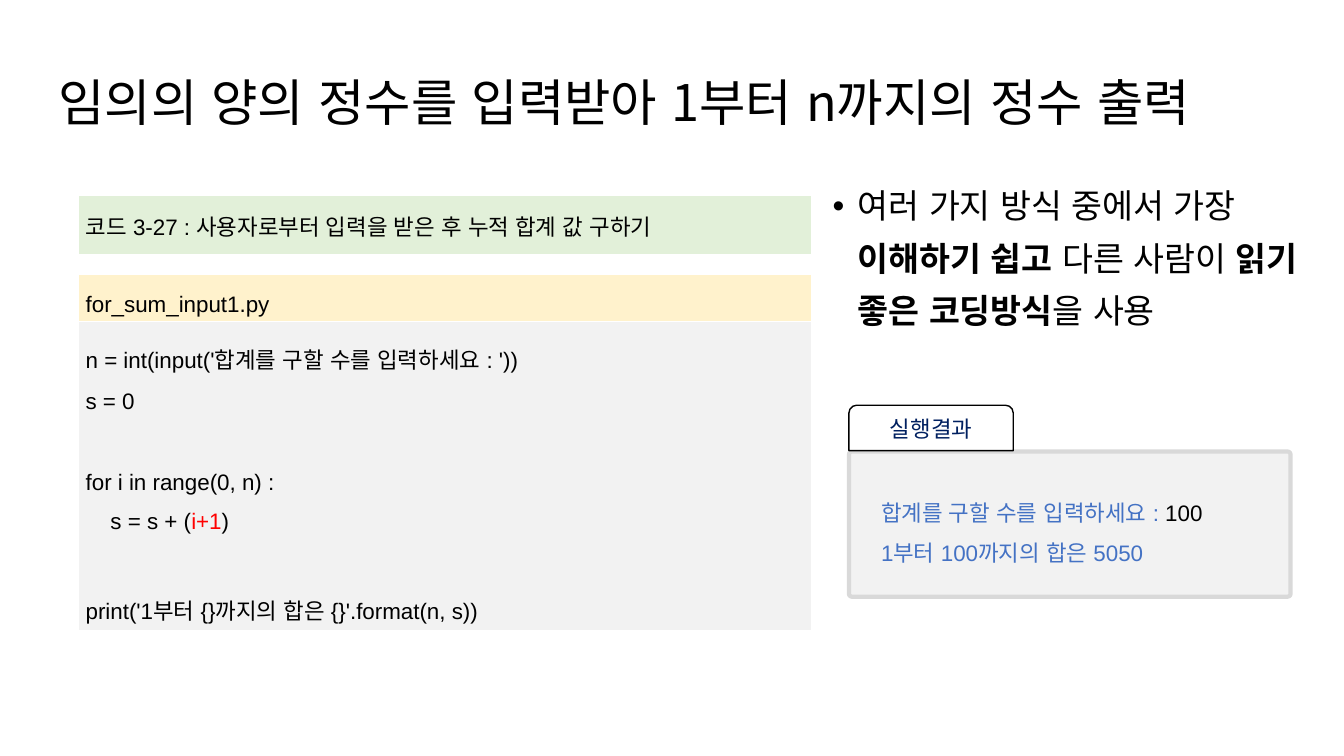
from dataclasses import dataclass

from lxml import etree
from pptx import Presentation
from pptx.dml.color import RGBColor
from pptx.enum.lang import MSO_LANGUAGE_ID
from pptx.enum.shapes import MSO_SHAPE
from pptx.enum.text import MSO_ANCHOR, PP_ALIGN
from pptx.oxml.ns import qn
from pptx.util import Emu, Pt

ROUND, TAB = MSO_SHAPE.ROUNDED_RECTANGLE, MSO_SHAPE.ROUND_2_SAME_RECTANGLE
TOP, MIDDLE = MSO_ANCHOR.TOP, MSO_ANCHOR.MIDDLE
LEFT, CENTER, JUSTIFY = PP_ALIGN.LEFT, PP_ALIGN.CENTER, PP_ALIGN.JUSTIFY
KOREAN = MSO_LANGUAGE_ID.KOREAN
EMU_PER_PX = 9144  # 100 px to the inch


@dataclass(frozen=True)
class Theme:
    latin: str = "Arial"
    korean: str = "Noto Sans CJK KR"
    title: int = 36
    body: int = 24
    small: int = 16
    gap: int = 6
    ink: str = "000000"
    paper: str = "FFFFFF"
    green: str = "E2F0D9"
    yellow: str = "FFF2CC"
    gray: str = "F2F2F2"
    border: str = "D9D9D9"
    navy: str = "002060"
    blue: str = "4472C4"
    red: str = "FF0000"


THEME = Theme()


def px(n):
    return Emu(n * EMU_PER_PX)


def rgb(color):
    return RGBColor.from_string(color)


def add_bullet(p, indent):
    pPr = p._p.get_or_add_pPr()
    pPr.set("marL", str(px(indent)))
    pPr.set("indent", str(-px(indent)))
    etree.SubElement(pPr, qn("a:buFont")).set("typeface", THEME.latin)
    etree.SubElement(pPr, qn("a:buChar")).set("char", "•")


def add_run(p, text, size=THEME.small, font=THEME.latin, color=THEME.ink, bold=False):
    r = p.add_run()
    r.text = text
    r.font.size, r.font.name, r.font.bold = Pt(size), font, bold
    r.font.language_id = KOREAN
    r.font.color.rgb = rgb(color)
    ea = etree.SubElement(r.font._element, qn("a:ea"))
    ea.set("typeface", THEME.korean)


def write(tf, paragraphs, align=LEFT, spacing=1.0, bullet=0, before=None, **fmt):
    """Each paragraph is a list of (text, format changes); before maps index to points."""
    for i, runs in enumerate(paragraphs):
        p = tf.add_paragraph() if i else tf.paragraphs[0]
        p.alignment, p.line_spacing = align, spacing
        if before and i in before:
            p.space_before = Pt(before[i])
        if bullet:
            add_bullet(p, bullet)
        for text, changes in runs:
            add_run(p, text, **{**fmt, **changes})


class SlideBuilder:
    def __init__(self, prs, theme):
        self.theme = theme
        self.slide = prs.slides.add_slide(prs.slide_layouts[6])

    def text(self, box, paragraphs, inset_top=5, **fmt):
        tf = self.slide.shapes.add_textbox(*map(px, box)).text_frame
        tf.word_wrap = True
        tf.vertical_anchor = TOP
        tf.margin_top = px(inset_top)
        write(tf, paragraphs, **fmt)

    def shape(self, kind, box, fill, line, width, radius, paragraphs=(), **fmt):
        sp = self.slide.shapes.add_shape(kind, *map(px, box))
        sp.shadow.inherit = False
        sp.adjustments[0] = radius
        sp.fill.solid()
        sp.fill.fore_color.rgb = rgb(fill)
        sp.line.color.rgb = rgb(line)
        sp.line.width = Pt(width)
        sp.text_frame.vertical_anchor = MIDDLE
        write(sp.text_frame, paragraphs, **fmt)

    def table(self, box, rows):
        """Each row is (height, fill, anchor, paragraphs, format); no fill makes a gap."""
        table = self.slide.shapes.add_table(len(rows), 1, *map(px, box)).table
        table.first_row = table.horz_banding = False
        for i, (height, fill, anchor, paragraphs, fmt) in enumerate(rows):
            table.rows[i].height = px(height)
            cell = table.cell(i, 0)
            cell.vertical_anchor = anchor
            cell.margin_left = cell.margin_right = px(7)
            cell.margin_top = cell.margin_bottom = px(2)
            if fill:
                cell.fill.solid()
                cell.fill.fore_color.rgb = rgb(fill)
                write(cell.text_frame, paragraphs, **fmt)
            else:
                cell.fill.background()
                end = etree.SubElement(cell.text_frame.paragraphs[0]._p, qn("a:endParaRPr"))
                end.set("sz", str(self.theme.gap * 100))


def main():
    prs = Presentation()
    prs.slide_width, prs.slide_height = px(1333), px(750)
    t = THEME
    s = SlideBuilder(prs, t)

    # Title
    s.text((48, 56, 1258, 158), [[("임의의 양의 정수를 입력받아 1부터 n까지의 정수 출력", {})]],
           inset_top=21, spacing=0.9, size=t.title, font=t.korean)

    # Advice
    bold = {"bold": True}
    s.text((816, 167, 490, 476), [[
        ("여러 가지 방식 중에서 가장 ", {}), ("이해하기 쉽고", bold),
        (" 다른 사람이 ", {}), ("읽기 좋은 코딩방식", bold), ("을 사용", {}),
    ]], spacing=1.3, bullet=25, size=t.body, font=t.korean)

    # Code listing
    code = [
        [("n = int(input('합계를 구할 수를 입력하세요 : '))", {})],
        [("s = 0", {})],
        [("for i in range(0, n) :", {})],
        [("    s = s + (", {}), ("i+1", {"color": t.red}), (")", {})],
        [("print('1부터 {}까지의 합은 {}'.format(n, s))", {})],
    ]
    listing = {"align": JUSTIFY, "spacing": 1.6}
    s.table((78, 194, 727, 424), [
        (59, t.green, MIDDLE, [[("코드 3-27 : 사용자로부터 입력을 받은 후 누적 합계 값 구하기", {})]], {}),
        (19, None, MIDDLE, [], {}),
        (39, t.yellow, MIDDLE, [[("for_sum_input1.py", {})]], listing),
        (307, t.gray, TOP, code, {**listing, "before": {2: 29, 4: 28}}),
    ])

    # Program output
    s.shape(ROUND, (842, 448, 438, 144), t.gray, t.border, 3, 0.02)
    s.shape(TAB, (842, 402, 163, 45), t.paper, t.ink, 1, 0.17, [[("실행결과", {})]],
            align=CENTER, font=t.korean, color=t.navy)
    s.text((864, 477, 400, 91), [
        [("합계를 구할 수를 입력하세요 : ", {}), ("100", {"color": t.ink})],
        [("1부터 100까지의 합은 5050", {})],
    ], spacing=1.5, color=t.blue)

    prs.save("out.pptx")


if __name__ == "__main__":
    main()
